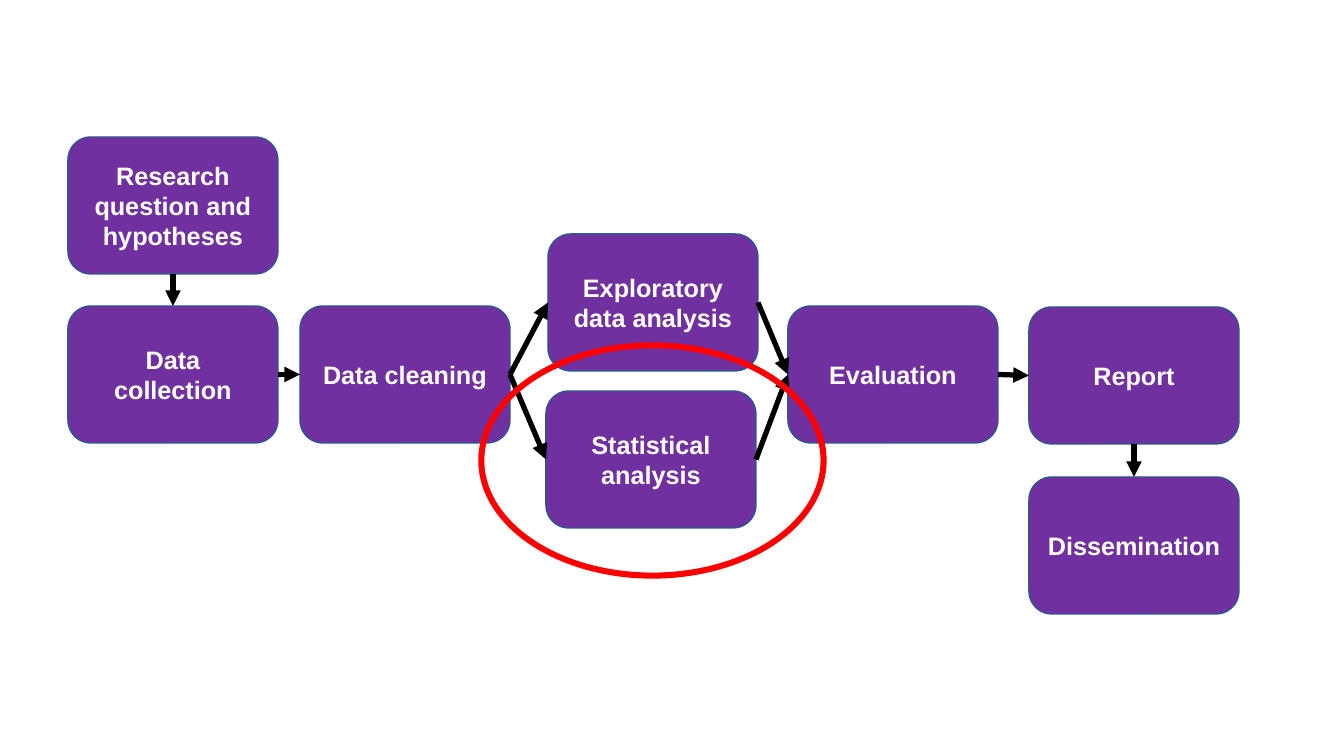
from pptx import Presentation
from pptx.dml.color import RGBColor
from pptx.enum.shapes import MSO_CONNECTOR, MSO_SHAPE
from pptx.enum.text import MSO_ANCHOR, PP_ALIGN
from pptx.oxml.ns import qn
from pptx.util import Pt
from lxml import etree

ROUNDED, DONUT = MSO_SHAPE.ROUNDED_RECTANGLE, MSO_SHAPE.DONUT
STRAIGHT = MSO_CONNECTOR.STRAIGHT
CENTER, MIDDLE = PP_ALIGN.CENTER, MSO_ANCHOR.MIDDLE
TOP, LEFT, BOTTOM, RIGHT = range(4)

# Content: step -> (text, left, top) in px
STEPS = {
    "collect": ("Data collection", 68, 306),
    "clean": ("Data cleaning", 300, 306),
    "explore": ("Exploratory data analysis", 548, 234),
    "stats": ("Statistical analysis", 546, 391),
    "report": ("Report", 1029, 307),
    "share": ("Dissemination", 1029, 477),
    "question": ("Research question and hypotheses", 68, 137),
    "evaluate": ("Evaluation", 788, 306),
}
DOWN, ACROSS = (BOTTOM, TOP), (RIGHT, LEFT)
ARROWS = [
    ("question", "collect", DOWN),
    ("explore", "evaluate", ACROSS),
    ("stats", "evaluate", ACROSS),
    ("collect", "clean", ACROSS),
    ("clean", "explore", ACROSS),
    ("clean", "stats", ACROSS),
    ("evaluate", "report", ACROSS),
    ("report", "share", DOWN),
]
BOX_W, BOX_H = 210, 137
HIGHLIGHT = (479, 343, 347, 235)

THEME = {
    "font": "Arial", "size": Pt(18), "text": RGBColor(255, 255, 255),
    "box": RGBColor(0x70, 0x30, 0xA0), "edge": RGBColor(0x32, 0x54, 0x91),
    "arrow": RGBColor(0, 0, 0), "ring": RGBColor(255, 0, 0),
    "thin": Pt(1), "thick": Pt(3.75),
}


def px(n):
    return round(n * 914400 / 100.8)


def add_filled(s, kind, rect, fill, edge):
    sp = s.shapes.add_shape(kind, *map(px, rect))
    sp.shadow.inherit = False
    sp.fill.solid()
    sp.fill.fore_color.rgb = fill
    sp.line.color.rgb = edge
    sp.line.width = THEME["thin"]
    return sp


def add_step(s, text, left, top):
    sp = add_filled(s, ROUNDED, (left, top, BOX_W, BOX_H), THEME["box"], THEME["edge"])
    tf = sp.text_frame
    tf.word_wrap = True
    tf.vertical_anchor = MIDDLE
    p = tf.paragraphs[0]
    p.alignment = CENTER
    r = p.add_run()
    r.text = text
    r.font.name, r.font.size, r.font.bold = THEME["font"], THEME["size"], True
    r.font.color.rgb = THEME["text"]
    return sp


def add_arrow(s, start, end, sides):
    c = s.shapes.add_connector(STRAIGHT, 0, 0, 0, 0)
    c.begin_connect(start, sides[0])
    c.end_connect(end, sides[1])
    c.line.color.rgb = THEME["arrow"]
    c.line.width = THEME["thick"]
    etree.SubElement(c.line._get_or_add_ln(), qn("a:tailEnd"), type="triangle")
    etree.SubElement(c._element.spPr, qn("a:effectLst"))


def main():
    prs = Presentation()
    prs.slide_width, prs.slide_height = px(1344), px(756)
    s = prs.slides.add_slide(prs.slide_layouts[6])

    # Process steps and the arrows between them
    boxes = {name: add_step(s, *step) for name, step in STEPS.items()}
    for start, end, sides in ARROWS:
        add_arrow(s, boxes[start], boxes[end], sides)

    # Ring around the statistical analysis
    ring = add_filled(s, DONUT, HIGHLIGHT, THEME["ring"], THEME["ring"])
    ring.adjustments[0] = 0.02

    prs.save("out.pptx")


if __name__ == "__main__":
    main()
